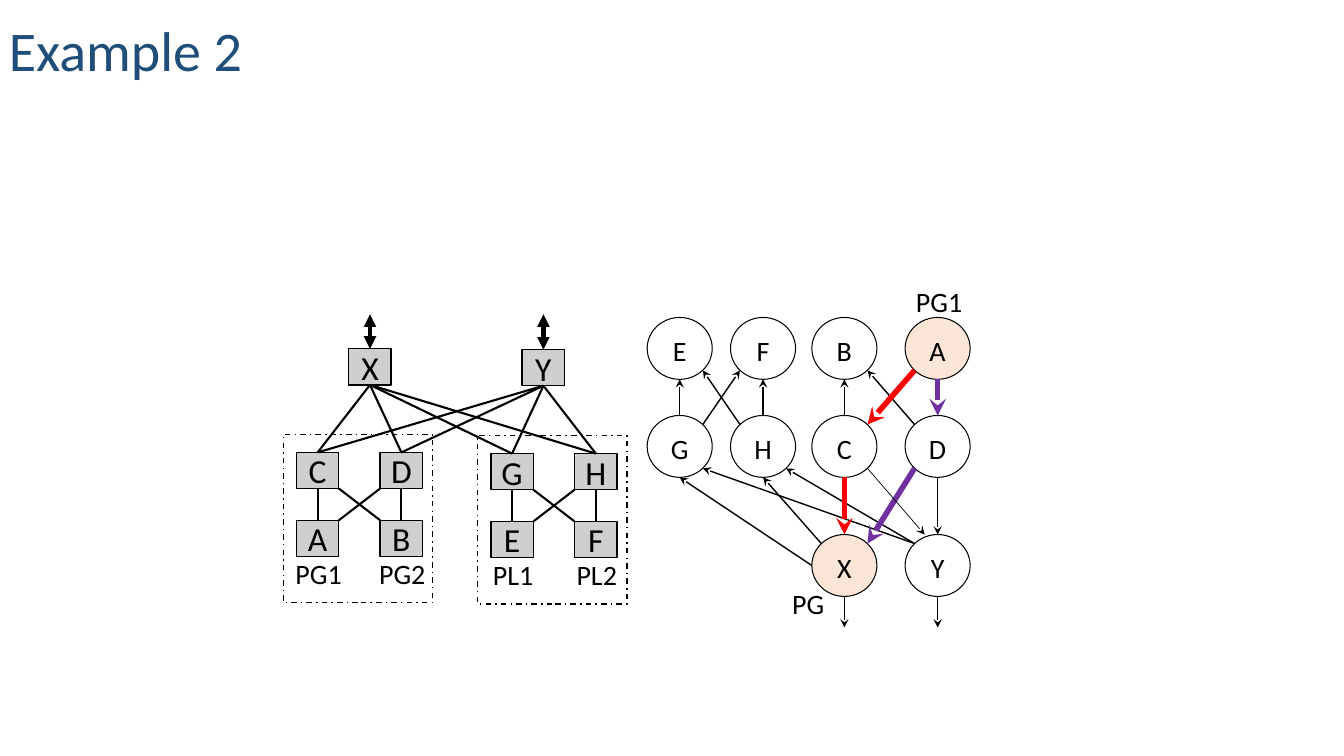
"""Build the Example 2 slide: a switch tree beside its directed graph."""
from lxml import etree
from pptx import Presentation
from pptx.dml.color import RGBColor
from pptx.enum import dml, shapes, text
from pptx.oxml import ns
from pptx.util import Cm, Pt

INK = {"title": "1F4E79", "black": "000000", "white": "FFFFFF", "grey": "D0CECE",
       "peach": "FBE5D6", "red": "FF0000", "purple": "7030A0"}
RECT, OVAL = shapes.MSO_SHAPE.RECTANGLE, shapes.MSO_SHAPE.OVAL

deck = Presentation()
deck.slide_width, deck.slide_height = Cm(33.87), Cm(19.05)
slide = deck.slides.add_slide(deck.slide_layouts[5])
draw = slide.shapes


def write(shape, words, size, ink="black", align=text.PP_ALIGN.CENTER):
    frame = shape.text_frame
    frame.text = words
    para = frame.paragraphs[0]
    para.alignment = align
    font = para.runs[0].font
    font.name, font.size = "Calibri", Pt(size)
    font.color.rgb = RGBColor.from_string(INK[ink])


def link(start, end, width, ink="black", **heads):
    line = draw.add_connector(shapes.MSO_CONNECTOR.STRAIGHT,
                              *[Cm(v) for v in (*start, *end)])
    line.line.width = Pt(width)
    line.line.color.rgb = RGBColor.from_string(INK[ink])
    props = line._element.spPr
    for name, kind in heads.items():
        etree.SubElement(props.find(ns.qn("a:ln")), ns.qn("a:" + name), type=kind)
    etree.SubElement(props, ns.qn("a:effectLst"))
    return line


title = draw.title
title.left, title.top, title.width, title.height = Cm(-0.03), Cm(-0.13), Cm(16.69), Cm(2.36)
write(title, "Example 2", 40, "title", text.PP_ALIGN.LEFT)
title.text_frame.auto_size = text.MSO_AUTO_SIZE.NONE
title.text_frame.vertical_anchor = text.MSO_ANCHOR.BOTTOM
title.text_frame.paragraphs[0].line_spacing = 0.9

# Tree of switches
BOX_W, BOX_H = 1.07, 0.91
spots = {"X": (8.79, 8.79), "Y": (13.16, 8.81)}
labels = [("PG", 20.37, 14.66), ("PG1", 23.67, 7.04)]
pods = [("CDAB", ("PG1", "PG2"), 0, 0), ("GHEF", ("PL1", "PL2"), 4.9, 0.03)]
for names, tags, dx, dy in pods:
    frame = draw.add_shape(RECT, Cm(7.14 + dx), Cm(10.95 + dy), Cm(3.76), Cm(4.24))
    frame.shadow.inherit = False
    frame.fill.background()
    frame.line.color.rgb = RGBColor.from_string(INK["black"])
    frame.line.width = Pt(1)
    frame.line.dash_style = dml.MSO_LINE.DASH_DOT
    for i, name in enumerate(names):
        spots[name] = (7.47 + dx + i % 2 * 2.11, 11.4 + dy + i // 2 * 1.71)
    for i, tag in enumerate(tags):
        labels.append((tag, 8.03 + dx + i * 2.11, 13.89 + dy))

boxes = {}
for name, (x, y) in spots.items():
    box = boxes[name] = draw.add_shape(RECT, Cm(x), Cm(y), Cm(BOX_W), Cm(BOX_H))
    box.shadow.inherit = False
    box.fill.solid()
    box.fill.fore_color.rgb = RGBColor.from_string(INK["grey"])
    box.line.color.rgb = RGBColor.from_string(INK["black"])
    box.line.width = Pt(1)
    box.text_frame.vertical_anchor = text.MSO_ANCHOR.MIDDLE
    box.text_frame.word_wrap = False
    write(box, name, 24)

for pair in "XC XD XG XH YC YD YG YH CA DB GE HF".split():
    line = link((0, 0), (1, 1), 1.5)
    line.begin_connect(boxes[pair[0]], 2)
    line.end_connect(boxes[pair[1]], 0)
for a, b in ("CB", "GF"):
    (left, top), (right, low) = spots[a], spots[b]
    link((left + BOX_W, top + BOX_H), (right, low), 1.5)
    link((right, top + BOX_H), (left + BOX_W, low), 1.5)
for name in "XY":
    x, y = spots[name]
    line = link((x + BOX_W / 2, 7.92), (x + BOX_W / 2, y), 3,
                headEnd="triangle", tailEnd="triangle")
    line.end_connect(boxes[name], 0)

# Directed graph
RX, RY = 0.82, 0.78
cols, rows = (17.13, 19.23, 21.28, 23.63), (8.78, 11.25, 14.25)
nodes = {}
for y, names in zip(rows, ("EFBA", "GHCD", "  XY")):
    for x, name in zip(cols, names):
        if name == " ":
            continue
        nodes[name] = (x, y)
        oval = draw.add_shape(OVAL, Cm(x - RX), Cm(y - RY), Cm(2 * RX), Cm(2 * RY))
        oval.shadow.inherit = False
        oval.fill.solid()
        oval.fill.fore_color.rgb = RGBColor.from_string(INK["peach" if name in "AX" else "white"])
        oval.line.color.rgb = RGBColor.from_string(INK["black"])
        oval.line.width = Pt(0.75)
        body = oval.text_frame
        body.margin_left = body.margin_right = body.margin_bottom = 0
        body.margin_top = Cm(0.1)
        body.vertical_anchor = text.MSO_ANCHOR.MIDDLE
        body.word_wrap = False
        write(oval, name, 20)

sides = {"n": (0, -1), "s": (0, 1), "w": (-1, 0), "nw": (-0.71, -0.71), "ne": (0.71, -0.71),
         "sw": (-0.71, 0.71), "se": (0.71, 0.71), "tip": (-0.4, -1), "out": (0, 2)}
edges = [("D nw B se", 1, "black"), ("C n B s", 1, "black"), ("D s Y n", 1, "black"),
         ("G n E s", 1, "black"), ("G ne F sw", 1, "black"), ("H n F s", 1, "black"),
         ("H nw E se", 1, "black"), ("X w G s", 1, "black"), ("X nw H s", 1, "black"),
         ("Y nw H se", 1, "black"), ("Y nw G se", 1, "black"), ("X s X out", 1, "black"),
         ("Y s Y out", 1, "black"), ("A s D n", 4, "purple"), ("A sw C ne", 4, "red"),
         ("D sw X ne", 4, "purple"), ("C s X n", 4, "red"), ("C se Y tip", 0.5, "black")]
for route, width, ink in edges:
    a, out, b, into = route.split()
    ends = [(nodes[n][0] + RX * sides[s][0], nodes[n][1] + RY * sides[s][1])
            for n, s in ((a, out), (b, into))]
    link(*ends, width, ink, tailEnd="stealth")

for tag, x, y in labels:
    label = draw.add_textbox(Cm(x - 0.97), Cm(y), Cm(1.94), Cm(1.12))
    label.text_frame.word_wrap = True
    write(label, tag, 20)

deck.save("out.pptx")
